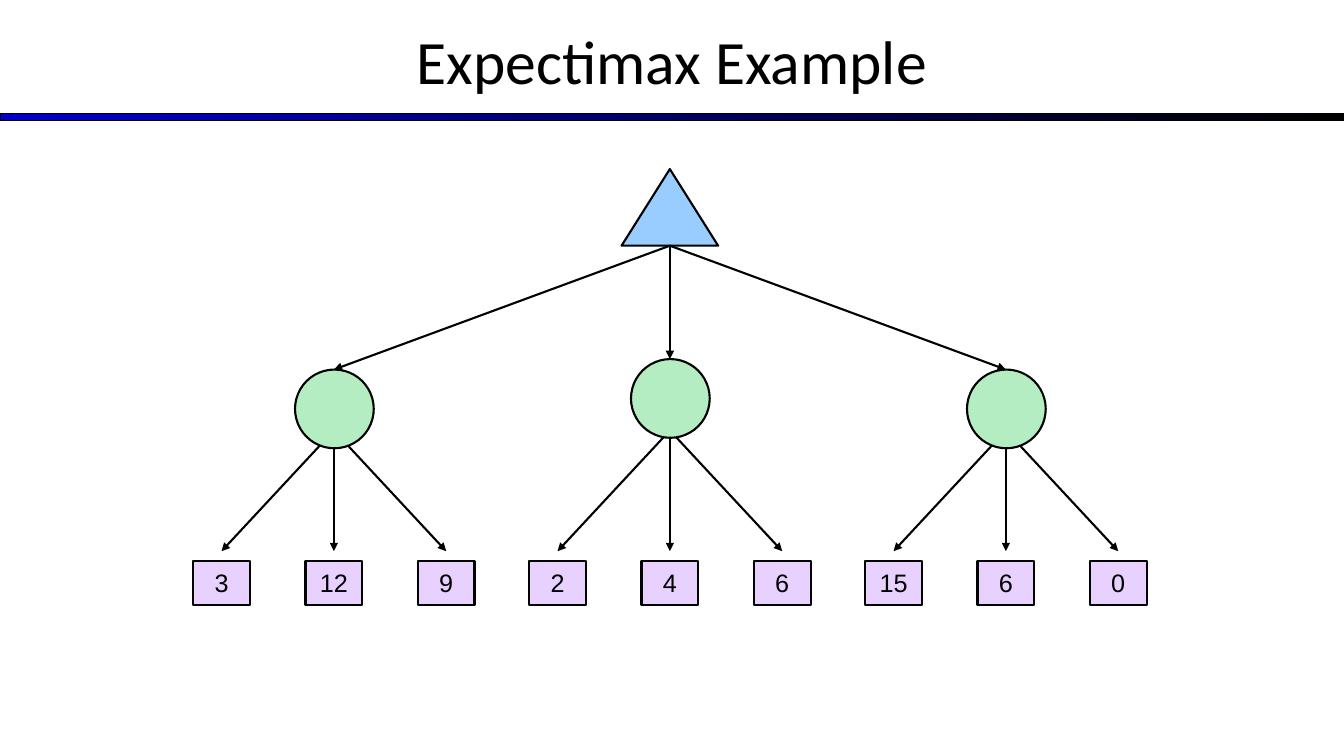
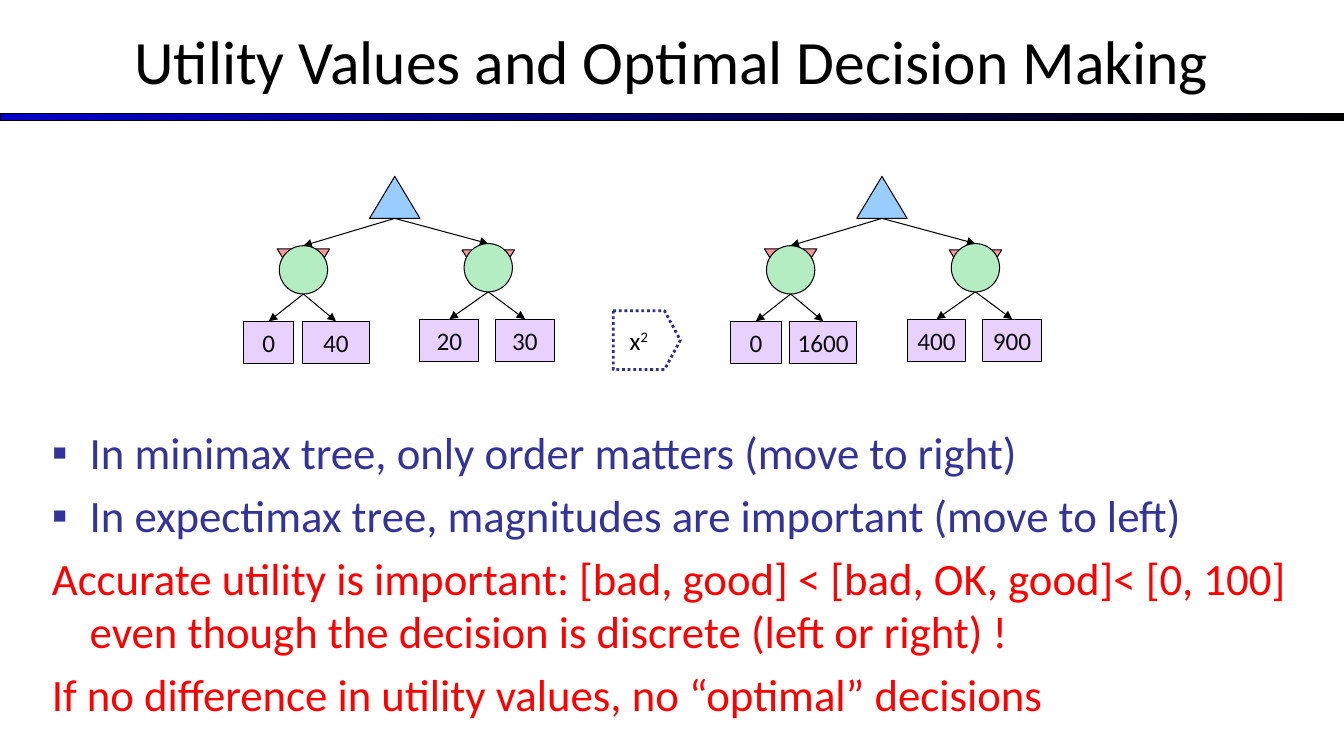
"""Build two slides on expectimax trees and utility values."""
import dataclasses
import typing

import lxml.etree
import pptx
import pptx.dml.color
import pptx.enum.dml
import pptx.enum.shapes
import pptx.enum.text
import pptx.oxml.ns
import pptx.util

EMU_PER_PX = 9525
SLIDE_W, SLIDE_H = 1280, 720
BLACK, WHITE, RED = "000000", "FFFFFF", "FF0000"
BLUE, NAVY, INK = "0000CC", "2D2D8A", "0D0D0D"
MAX_FILL, MIN_FILL, CHANCE_FILL, LEAF_FILL = "99CCFF", "FF9999", "B5EDC2", "E8D1FF"
BODY_COLOR = "333399"
SHAPE = pptx.enum.shapes.MSO_SHAPE
CENTER = pptx.enum.text.PP_ALIGN.CENTER
MIDDLE = pptx.enum.text.MSO_ANCHOR.MIDDLE
NO_FIT = pptx.enum.text.MSO_AUTO_SIZE.NONE


@dataclasses.dataclass(frozen=True)
class Box:
    """A rectangle in px."""
    x: int
    y: int
    w: int
    h: int


@dataclasses.dataclass(frozen=True)
class Leaf:
    """A labelled value at the bottom of a tree."""
    label: str
    box: Box


@dataclasses.dataclass(frozen=True)
class Chance:
    """A chance node with the height its edges start from."""
    cx: int
    top: int
    stem: int
    leaves: list[Leaf]
    min_top: int | None = None


@dataclasses.dataclass(frozen=True)
class TreeStyle:
    """The look shared by all parts of one tree."""
    weight: float
    diameter: int
    gap: int
    font: str
    color: str


@dataclasses.dataclass(frozen=True)
class BodyLine:
    """A body paragraph with an optional bullet."""
    text: str
    color: str
    bullet: str = ""


def px(n: int) -> int:
    """Turn px into EMU."""
    return pptx.util.Emu(n * EMU_PER_PX)


def rgb(code: str) -> pptx.dml.color.RGBColor:
    """Turn a hex string into a colour."""
    return pptx.dml.color.RGBColor.from_string(code)


def apply(obj: typing.Any, values: dict[str, typing.Any]) -> None:
    """Set each named attribute on an object."""
    for name, value in values.items():
        setattr(obj, name, value)


def place(box: Box) -> dict[str, int]:
    """Give a box as position attributes."""
    return dict(left=px(box.x), top=px(box.y), width=px(box.w), height=px(box.h))


def sub(parent: typing.Any, tag: str, **attrs: str) -> typing.Any:
    """Append an XML element in the drawing namespace."""
    return lxml.etree.SubElement(parent, pptx.oxml.ns.qn(tag), attrs)


def set_font(font: typing.Any, name: str, size: int, color: str) -> None:
    """Set font name, size and colour."""
    apply(font, dict(name=name, size=pptx.util.Pt(size)))
    font.color.rgb = rgb(color)


def add_shape(slide: typing.Any, kind: typing.Any, box: Box, fill: str,
              line: str = BLACK, weight: float = 0.75) -> typing.Any:
    """Draw a filled and outlined preset shape."""
    sp = slide.shapes.add_shape(kind, *place(box).values())
    sp.shadow.inherit = False
    sp.fill.solid()
    sp.fill.fore_color.rgb = rgb(fill)
    sp.line.color.rgb = rgb(line)
    sp.line.width = pptx.util.Pt(weight)
    return sp


def add_arrow(slide: typing.Any, start: tuple[int, int], end: tuple[int, int],
              weight: float) -> None:
    """Draw a black arrow between two points."""
    cn = slide.shapes.add_connector(
        pptx.enum.shapes.MSO_CONNECTOR.STRAIGHT, *map(px, start + end))
    cn.line.color.rgb = rgb(BLACK)
    cn.line.width = pptx.util.Pt(weight)
    sp_pr = cn._element.spPr
    sub(sp_pr.find(pptx.oxml.ns.qn("a:ln")), "a:tailEnd", type="triangle")
    sub(sp_pr, "a:effectLst")


def add_leaf(slide: typing.Any, leaf: Leaf, style: TreeStyle) -> None:
    """Draw a leaf box with its value."""
    sp = add_shape(slide, SHAPE.RECTANGLE, leaf.box, LEAF_FILL, weight=style.weight)
    tf = sp.text_frame
    apply(tf, dict(text=leaf.label, word_wrap=False, vertical_anchor=MIDDLE))
    p = tf.paragraphs[0]
    p.alignment = CENTER
    set_font(p.runs[0].font, style.font, 18, style.color)


def add_tree(slide: typing.Any, root: Box, chances: list[Chance], style: TreeStyle) -> None:
    """Draw a max node, its chance nodes and their leaves."""
    add_shape(slide, SHAPE.ISOSCELES_TRIANGLE, root, MAX_FILL, weight=style.weight)
    root_foot = (root.x + root.w // 2, root.y + root.h)
    d = style.diameter
    for node in chances:
        if node.min_top is not None:
            sp = add_shape(slide, SHAPE.ISOSCELES_TRIANGLE,
                           Box(node.cx - 25, node.min_top, 50, 40), MIN_FILL)
            sp.rotation = 180
        add_arrow(slide, root_foot, (node.cx, node.top), style.weight)
        for leaf in node.leaves:
            tip = (leaf.box.x + leaf.box.w // 2, leaf.box.y - style.gap)
            add_arrow(slide, (node.cx, node.stem), tip, style.weight)
            add_leaf(slide, leaf, style)
        add_shape(slide, SHAPE.OVAL, Box(node.cx - d // 2, node.top, d, d),
                  CHANCE_FILL, weight=style.weight)


def new_slide(prs: typing.Any, title: str) -> typing.Any:
    """Add a slide with the shared title and gradient band."""
    slide = prs.slides.add_slide(prs.slide_layouts[5])
    band = add_shape(slide, SHAPE.RECTANGLE, Box(0, 108, SLIDE_W, 7), BLUE)
    band.fill.gradient()
    band.fill.gradient_angle = 0
    for stop, color in zip(band.fill.gradient_stops, (BLUE, BLACK)):
        stop.color.rgb = rgb(color)
    sp = slide.shapes.title
    apply(sp, place(Box(0, -3, SLIDE_W, 120)))
    tf = sp.text_frame
    apply(tf, dict(text=title, vertical_anchor=MIDDLE, word_wrap=True, auto_size=NO_FIT))
    p = tf.paragraphs[0]
    p.alignment = CENTER
    set_font(p.runs[0].font, "Calibri", 44, BLACK)
    return slide


def add_square_arrow(slide: typing.Any, box: Box) -> None:
    """Draw the dotted arrow that squares the utilities."""
    sp = add_shape(slide, SHAPE.RIGHT_ARROW, box, WHITE, NAVY, 2)
    sp.adjustments[0], sp.adjustments[1] = 1, 0.27
    sp.line.dash_style = pptx.enum.dml.MSO_LINE.ROUND_DOT
    tf = sp.text_frame
    apply(tf, dict(word_wrap=True, vertical_anchor=MIDDLE))
    p = tf.paragraphs[0]
    p.alignment = CENTER
    for text in ("x", "2"):
        r = p.add_run()
        r.text = text
        set_font(r.font, "Calibri", 18, BLACK)
    r._r.get_or_add_rPr().set("baseline", "30000")


def add_body(slide: typing.Any, box: Box, lines: list[BodyLine]) -> None:
    """Write the body paragraphs with a hanging indent."""
    tf = slide.shapes.add_textbox(*place(box).values()).text_frame
    apply(tf, dict(word_wrap=True, auto_size=NO_FIT))
    for i, line in enumerate(lines):
        p = tf.add_paragraph() if i else tf.paragraphs[0]
        p.space_before = pptx.util.Pt(6.4 if i else 0)
        p_pr = p._p.get_or_add_pPr()
        p_pr.set("marL", str(px(36)))
        p_pr.set("indent", str(px(-36)))
        if line.bullet:
            sub(sub(p_pr, "a:buClr"), "a:srgbClr", val=line.color)
            sub(p_pr, "a:buFont", typeface="Arial")
            sub(p_pr, "a:buChar", char=line.bullet)
        else:
            sub(p_pr, "a:buNone")
        r = p.add_run()
        r.text = line.text
        set_font(r.font, "Calibri", 32, line.color)


def build_example(prs: typing.Any) -> None:
    """Build the three-way expectimax tree."""
    slide = new_slide(prs, "Expectimax Example")
    groups = [(352, ("3", "12", "9")), (342, ("2", "4", "6")), (352, ("15", "6", "0"))]
    chances = []
    for i, (top, labels) in enumerate(groups):
        cx = 318 + 320 * i
        leaves = [Leaf(label, Box(cx - 27 + 107 * (k - 1), 534, 54, 42))
                  for k, label in enumerate(labels)]
        chances.append(Chance(cx, top, 410, leaves))
    add_tree(slide, Box(592, 161, 92, 73), chances, TreeStyle(1.5, 75, 9, "Arial", BLACK))


def build_utilities(prs: typing.Any) -> None:
    """Build the two trees before and after squaring, and the remarks."""
    slide = new_slide(prs, "Utility Values and Optimal Decision Making")
    style = TreeStyle(0.75, 46, 0, "Calibri", INK)
    trees = [(0, ("0", "40", "20", "30")), (464, ("0", "1600", "400", "900"))]
    for dx, (a, b, c, d) in trees:
        chances = [
            Chance(dx + 289, 234, 280, [Leaf(a, Box(dx + 232, 306, 48, 40)),
                                        Leaf(b, Box(dx + 288, 306, 64, 40))], 237),
            Chance(dx + 465, 232, 278, [Leaf(c, Box(dx + 400, 304, 56, 40)),
                                        Leaf(d, Box(dx + 472, 304, 56, 40))], 238),
        ]
        add_tree(slide, Box(dx + 352, 168, 48, 40), chances, style)
    add_square_arrow(slide, Box(584, 296, 64, 56))
    add_body(slide, Box(40, 400, 1237, 187), [
        BodyLine("In minimax tree, only order matters (move to right)", BODY_COLOR, "▪"),
        BodyLine("In expectimax tree, magnitudes are important (move to left)",
                 BODY_COLOR, "▪"),
        BodyLine("Accurate utility is important: [bad, good] < [bad, OK, good]< [0, 100] "
                 "even though the decision is discrete (left or right) !", RED),
        BodyLine("If no difference in utility values, no “optimal” decisions", RED),
    ])


def main() -> None:
    """Build and save the presentation."""
    prs = pptx.Presentation()
    apply(prs, dict(slide_width=px(SLIDE_W), slide_height=px(SLIDE_H)))
    build_example(prs)
    build_utilities(prs)
    prs.save("out.pptx")


if __name__ == "__main__":
    main()
